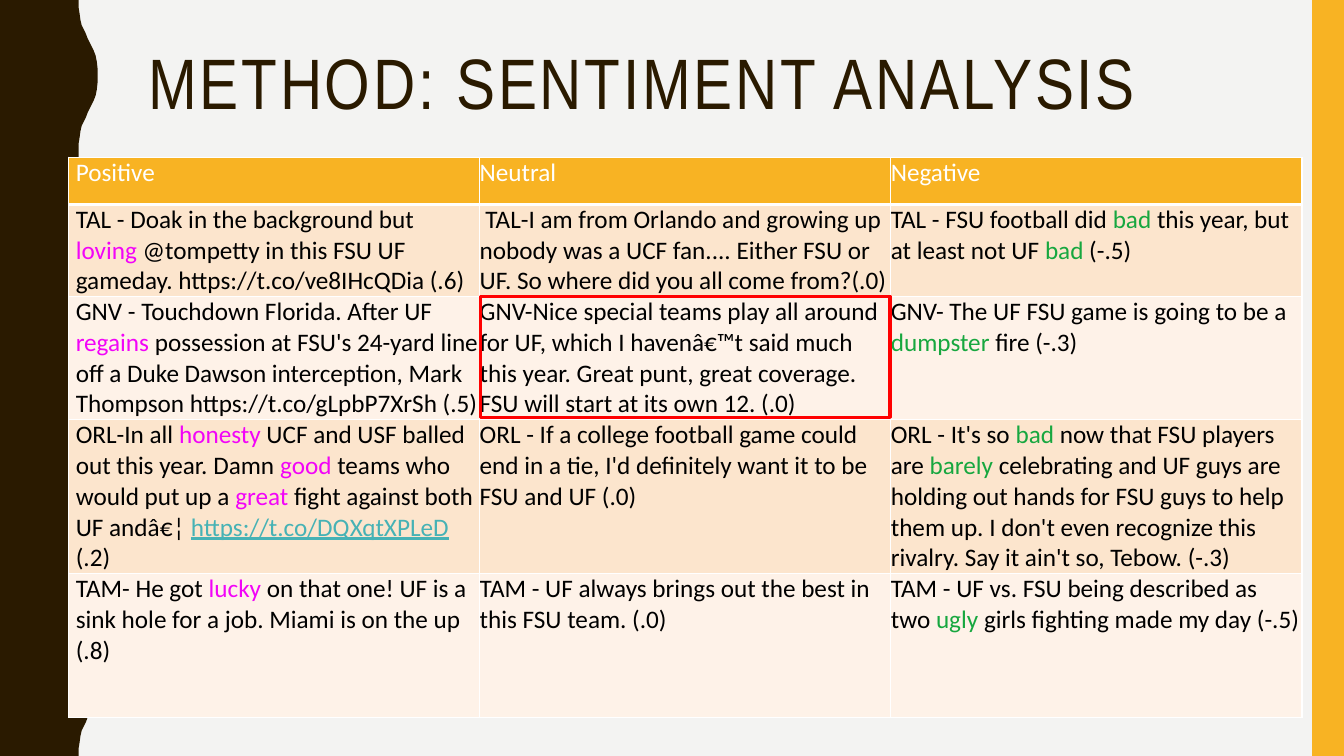
from lxml.etree import SubElement
from pptx import Presentation
from pptx.dml.color import RGBColor
from pptx.enum.shapes import MSO_SHAPE
from pptx.enum.text import MSO_ANCHOR, MSO_AUTO_SIZE, PP_ALIGN
from pptx.oxml.ns import qn
from pptx.util import Cm, Pt

TITLE = "METHOD: SENTIMENT ANALYSIS"
HEADERS = ["Positive", "Neutral", "Negative"]
TWEETS = [
    [
        ["TAL - Doak in the background but ", "loving ",
         "@tompetty in this FSU UF gameday. https://t.co/ve8IHcQDia (.6)"],
        [" TAL-I am from Orlando and growing up nobody was a UCF fan.... "
         "Either FSU or UF. So where did you all come from?(.0)"],
        ["TAL - FSU football did ", "bad ", "this year, but at least not UF ", "bad", " (-.5)"],
    ],
    [
        ["GNV - Touchdown Florida. After UF ", "regains",
         " possession at FSU's 24-yard line off a Duke Dawson interception, "
         "Mark Thompson https://t.co/gLpbP7XrSh (.5)"],
        ["GNV-Nice special teams play all around for UF, which I havenâ€™t said much this year. "
         "Great punt, great coverage. FSU will start at its own 12. (.0)"],
        ["GNV- The UF FSU game is going to be a ", "dumpster", " fire (-.3)"],
    ],
    [
        ["ORL-In all ", "honesty", " UCF and USF balled out this year. Damn ", "good",
         " teams who would put up a ", "great", " fight against both UF andâ€¦ ",
         "https://t.co/DQXqtXPLeD", " (.2)"],
        ["ORL - If a college football game could end in a tie, "
         "I'd definitely want it to be FSU and UF (.0)"],
        ["ORL - It's so ", "bad", " now that FSU players are ", "barely",
         " celebrating and UF guys are holding out hands for FSU guys to help them up. "
         "I don't even recognize this rivalry. Say it ain't so, Tebow. (-.3)"],
    ],
    [
        ["TAM- He got ", "lucky",
         " on that one! UF is a sink hole for a job. Miami is on the up (.8)"],
        ["TAM - UF always brings out the best in this FSU team. (.0)"],
        ["TAM - UF vs. FSU being described as two ", "ugly",
         " girls fighting made my day (-.5)"],
    ],
]
ROW_HEIGHTS = [1.19, 2.18, 2.92, 3.78, 3.63]
COLUMN_WIDTH = 10.36
HIGHLIGHTS = ["F204F8", "000000", "17A73F"]
BANDS = ["FCE5CD", "FEF2E8"]
BROWN, GOLD, WHITE, BLACK, LINK = "2A1A00", "F8B323", "FFFFFF", "000000", "46B2B5"

SLIDE_WIDTH, SLIDE_HEIGHT = 33.87, 19.05
WAVE_COUNT = 5
WAVE_LENGTH = SLIDE_HEIGHT / WAVE_COUNT
HALF_WAVE = [
    (1.98, 0), (1.98, 0.18), (2.01, 0.36), (2.03, 0.51), (2.06, 0.64),
    (2.11, 0.74), (2.16, 0.84), (2.21, 0.97), (2.26, 1.07), (2.31, 1.17),
    (2.36, 1.27), (2.41, 1.4), (2.44, 1.55), (2.46, 1.73), (2.46, 1.9),
]


def color(value):
    return RGBColor.from_string(value)


def paint(shape, fill=None, line=None, line_width=0):
    shape.shadow.inherit = False
    if fill:
        shape.fill.solid()
        shape.fill.fore_color.rgb = color(fill)
    else:
        shape.fill.background()
    if line:
        shape.line.color.rgb = color(line)
        shape.line.width = Pt(line_width)
    else:
        shape.line.fill.background()


def add_wave(slide):
    one_wave = HALF_WAVE + [(x, WAVE_LENGTH - y) for x, y in reversed(HALF_WAVE)]
    edge = [(Cm(x), Cm(y + wave * WAVE_LENGTH))
            for wave in range(WAVE_COUNT) for x, y in one_wave]
    builder = slide.shapes.build_freeform(0, 0)
    builder.add_line_segments(edge + [(0, Cm(SLIDE_HEIGHT))], close=True)
    paint(builder.convert_to_shape(), BROWN)


def add_rectangle(slide, left, top, width, height, **style):
    shape = slide.shapes.add_shape(
        MSO_SHAPE.RECTANGLE, Cm(left), Cm(top), Cm(width), Cm(height))
    paint(shape, **style)


def format_title(title):
    title.left, title.top, title.width, title.height = Cm(3.48), Cm(1.07), Cm(28.27), Cm(4.14)
    frame = title.text_frame
    frame.text = TITLE
    frame.word_wrap = True
    frame.auto_size = MSO_AUTO_SIZE.NONE
    frame.vertical_anchor = MSO_ANCHOR.TOP
    paragraph = frame.paragraphs[0]
    paragraph.alignment = PP_ALIGN.LEFT
    paragraph.line_spacing = 0.9
    paragraph.font.name = "Arial Narrow"
    paragraph.font.size = Pt(51)
    paragraph.font.color.rgb = color(BROWN)
    paragraph.runs[0].font._element.set("spc", "200")


def set_borders(cell, bottom):
    properties = cell._tc.get_or_add_tcPr()
    for position, (side, width) in enumerate(
            [("lnL", 1), ("lnR", 1), ("lnT", 1), ("lnB", bottom)]):
        line = properties.makeelement(qn(f"a:{side}"), {"w": str(Pt(width))})
        properties.insert(position, line)
        SubElement(SubElement(line, qn("a:solidFill")), qn("a:srgbClr"), val=WHITE)


def fill_cell(cell, pieces, column, fill, text_color, bottom):
    cell.margin_left = Cm(0.18 if column == 0 else 0)
    cell.margin_top = cell.margin_right = cell.margin_bottom = 0
    cell.fill.solid()
    cell.fill.fore_color.rgb = color(fill)
    set_borders(cell, bottom)
    paragraph = cell.text_frame.paragraphs[0]
    paragraph.font.name = "Calibri"
    paragraph.font.size = Pt(18)
    for index, piece in enumerate(pieces):
        run = paragraph.add_run()
        run.text = piece
        run.font.color.rgb = color(text_color)
        if index % 2:
            is_link = piece.startswith("https")
            run.font.color.rgb = color(LINK if is_link else HIGHLIGHTS[column])
            if is_link:
                run.font.underline = True


def add_tweet_table(slide):
    table = slide.shapes.add_table(
        len(ROW_HEIGHTS), len(HEADERS), Cm(1.73), Cm(3.96),
        Cm(COLUMN_WIDTH * len(HEADERS)), Cm(sum(ROW_HEIGHTS))).table
    table.horz_banding = False
    table.first_row = False
    for column in table.columns:
        column.width = Cm(COLUMN_WIDTH)
    for row, height in zip(table.rows, ROW_HEIGHTS):
        row.height = Cm(height)
    for column, header in enumerate(HEADERS):
        fill_cell(table.cell(0, column), [header], column, GOLD, WHITE, 3)
    for row, tweets in enumerate(TWEETS, start=1):
        for column, pieces in enumerate(tweets):
            fill_cell(table.cell(row, column), pieces, column, BANDS[(row - 1) % 2], BLACK, 1)


def main():
    presentation = Presentation()
    presentation.slide_width = Cm(SLIDE_WIDTH)
    presentation.slide_height = Cm(SLIDE_HEIGHT)
    slide = presentation.slides.add_slide(presentation.slide_layouts[5])
    slide.background.fill.solid()
    slide.background.fill.fore_color.rgb = color("F3F3F2")
    format_title(slide.shapes.title)
    add_wave(slide)
    add_rectangle(slide, 33.07, 0, 0.8, SLIDE_HEIGHT, fill=GOLD)
    add_tweet_table(slide)
    add_rectangle(slide, 12.12, 7.47, 10.31, 3.05, line="FF0000", line_width=2.25)
    presentation.save("out.pptx")


if __name__ == "__main__":
    main()
